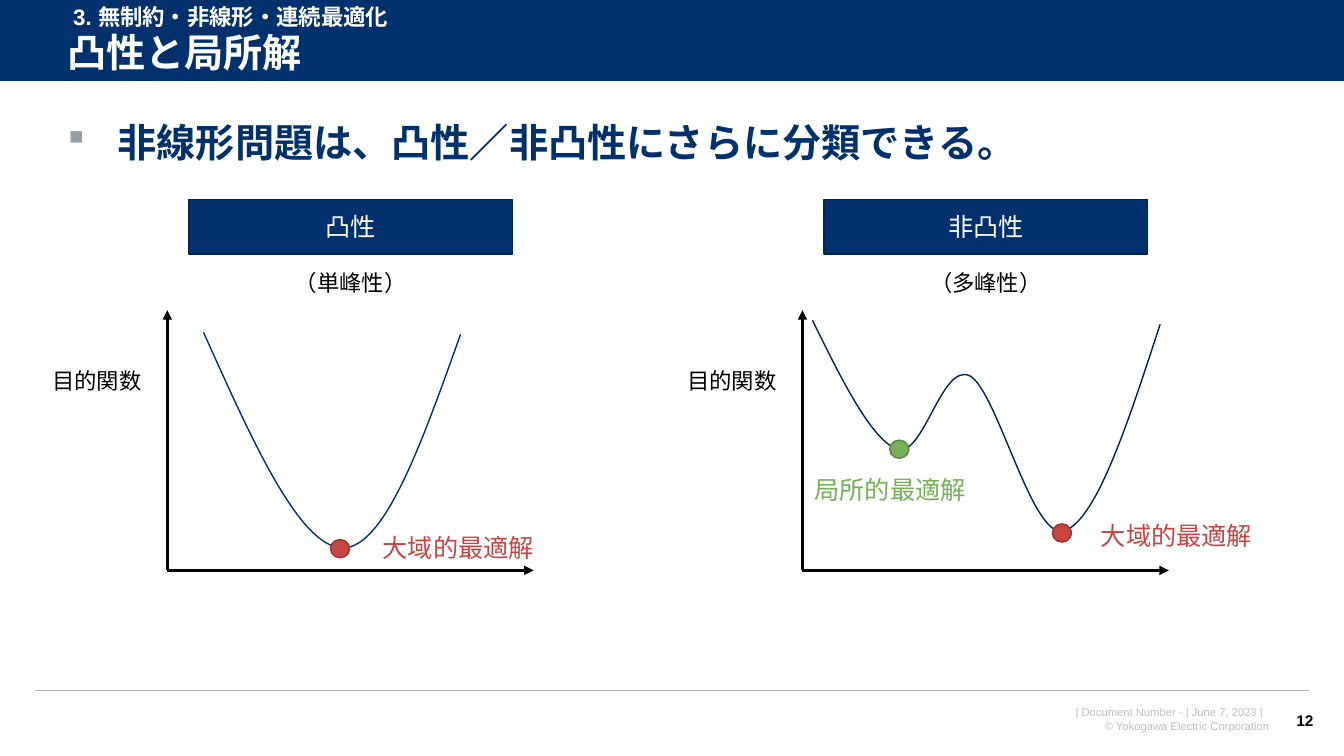
import pptx
import pptx.util
import pptx.dml.color
import pptx.enum.lang
import pptx.enum.shapes
import pptx.enum.text
import pptx.oxml.ns
from lxml import etree

Pt = pptx.util.Pt
RGBColor = pptx.dml.color.RGBColor
qn = pptx.oxml.ns.qn
ALIGN = pptx.enum.text.PP_ALIGN
ANCHOR = pptx.enum.text.MSO_ANCHOR
SHAPE = pptx.enum.shapes.MSO_SHAPE
STRAIGHT = pptx.enum.shapes.MSO_CONNECTOR.STRAIGHT

NAVY = RGBColor(0x00, 0x31, 0x6C)
DARK_NAVY = RGBColor(0x00, 0x24, 0x50)
RED = RGBColor(0xC7, 0x46, 0x43)
DARK_RED = RGBColor(0x9A, 0x30, 0x2E)
GREEN = RGBColor(0x76, 0xB0, 0x59)
DARK_GREEN = RGBColor(0x58, 0x87, 0x40)
WHITE = RGBColor(0xFF, 0xFF, 0xFF)
BLACK = RGBColor(0x00, 0x00, 0x00)
RULE_GREY = RGBColor(0xB2, 0xB2, 0xB2)
FOOTER_GREY = RGBColor(0xBF, 0xBF, 0xBF)
BULLET_GREY = RGBColor(0x95, 0xA0, 0xA4)

WIDTH, HEIGHT = 960, 540


def write(frame, lines, size, color, align=ALIGN.LEFT, bold=False, anchor=ANCHOR.TOP):
    frame.word_wrap = True
    frame.vertical_anchor = anchor
    for number, line in enumerate(lines):
        paragraph = frame.add_paragraph() if number else frame.paragraphs[0]
        paragraph.text = line
        paragraph.alignment = align
        paragraph.font.name = "Arial"
        paragraph.font.size = Pt(size)
        paragraph.font.bold = bold
        paragraph.font.color.rgb = color


def add_text(slide, box, lines, size, color, **style):
    frame = slide.shapes.add_textbox(*map(Pt, box)).text_frame
    write(frame, lines, size, color, **style)
    return frame


def add_filled(slide, kind, box, fill, outline=None):
    shape = slide.shapes.add_shape(kind, *map(Pt, box))
    shape.shadow.inherit = False
    shape.fill.solid()
    shape.fill.fore_color.rgb = fill
    if outline is None:
        shape.line.fill.background()
    else:
        shape.line.color.rgb = outline
        shape.line.width = Pt(1)
    return shape


def add_line(slide, start, end, color, width, arrow=False):
    connector = slide.shapes.add_connector(STRAIGHT, *map(Pt, (*start, *end)))
    connector.line.color.rgb = color
    connector.line.width = Pt(width)
    properties = connector._element.spPr
    if arrow:
        etree.SubElement(properties.find(qn("a:ln")), qn("a:tailEnd"), type="triangle")
    etree.SubElement(properties, qn("a:effectLst"))


def add_curve(slide, left, top, knots, color):
    """Draw a chain of cubic segments; every third knot lies on the curve."""
    points = [(Pt(left + x), Pt(top + y)) for x, y in knots]
    builder = slide.shapes.build_freeform(*points[0])
    builder.add_line_segments(points[1:], close=False)
    curve = builder.convert_to_shape()
    outline = next(curve._element.iter(qn("a:path")))
    straight = outline.findall(qn("a:lnTo"))
    for first in range(0, len(straight), 3):
        cubic = etree.SubElement(outline, qn("a:cubicBezTo"))
        for segment in straight[first:first + 3]:
            cubic.append(segment[0])
            outline.remove(segment)
    heights = [y for _, y in points[::3]]
    curve.height = max(heights) - min(heights)
    outline.set("h", str(curve.height))
    curve.shadow.inherit = False
    curve.fill.background()
    curve.line.color.rgb = color
    curve.line.width = Pt(1)


def add_header(slide, left, top, width, height):
    add_filled(slide, SHAPE.RECTANGLE, (left, top, width, height), NAVY)
    add_line(slide, (left, top + height), (left + width, top + height), WHITE, 0.75)
    title = add_text(slide, (left + 41, top + 18.7, 898, 41), ["凸性と局所解"], 28, WHITE,
                     bold=True, anchor=ANCHOR.MIDDLE)
    title.paragraphs[0].line_spacing = 0.9
    chapter = add_text(slide, (left + 45.2, top - 1.4, 283, 26.6),
                       ["3. 無制約・非線形・連続最適化"], 16, WHITE, bold=True)
    chapter_font = chapter.paragraphs[0].runs[0].font
    chapter_font.language_id = pptx.enum.lang.MSO_LANGUAGE_ID.JAPANESE
    etree.SubElement(chapter_font._element, qn("a:ea"), typeface="Arial")


def add_footer(slide, left, top, width):
    add_line(slide, (left, top), (left + width, top), RULE_GREY, 1)
    add_text(slide, (left + 657.7, top + 7.2, 231.2, 26.6),
             ["| Document Number - | June 7, 2023 |  ", "© Yokogawa Electric Corporation"],
             8, FOOTER_GREY, align=ALIGN.RIGHT)
    add_text(slide, (left + 888.6, top + 7.2, 31.7, 28.8), ["12"], 11, BLACK,
             align=ALIGN.RIGHT, bold=True, anchor=ANCHOR.MIDDLE)


def add_lead(slide, box):
    frame = slide.shapes.add_textbox(*map(Pt, box)).text_frame
    paragraph = frame.paragraphs[0]
    paragraph.line_spacing = 0.9
    properties = paragraph._p.get_or_add_pPr()
    properties.set("marL", str(Pt(36)))
    properties.set("indent", str(-Pt(36)))
    bullet_color = etree.SubElement(properties, qn("a:buClr"))
    etree.SubElement(bullet_color, qn("a:srgbClr"), val=str(BULLET_GREY))
    etree.SubElement(properties, qn("a:buFont"), typeface="Wingdings", charset="2")
    etree.SubElement(properties, qn("a:buChar"), char="§")
    write(frame, ["非線形問題は、凸性／非凸性にさらに分類できる。"], 28, NAVY, bold=True)


def add_panel(slide, left, top, heading, modality, knots, curve_color, optima):
    """Place a heading, axes, curve and marked optima relative to the panel corner."""
    add_curve(slide, left, top, knots, curve_color)
    badge = add_filled(slide, SHAPE.RECTANGLE, (left + 111, top, 231, 39), NAVY, DARK_NAVY)
    write(badge.text_frame, [heading], 18, WHITE, align=ALIGN.CENTER, anchor=ANCHOR.MIDDLE)
    add_text(slide, (left + 144.5, top + 46, 164, 26.6), [modality], 16, BLACK,
             align=ALIGN.CENTER)
    add_text(slide, (left - 0.5, top + 116, 91.4, 26.6), ["目的関数"], 16, BLACK,
             align=ALIGN.CENTER)
    axis_origin = (left + 95.5, top + 265)
    for axis_end in ((left + 95.5, top + 79.2), (left + 357.2, top + 265)):
        add_line(slide, axis_origin, axis_end, BLACK, 2.25, arrow=True)
    for name, fill, outline, (dot_x, dot_y), (name_x, name_y) in optima:
        add_filled(slide, SHAPE.OVAL, (left + dot_x, top + dot_y, 13.7, 13), fill, outline)
        add_text(slide, (left + name_x, top + name_y, 135.4, 28.8), [name], 18, fill,
                 align=ALIGN.CENTER)


CONVEX_KNOTS = [(121.4, 95), (156, 172), (189.8, 248.4), (220.8, 249), (251, 249),
                (277.7, 172.8), (305, 96.4)]
NONCONVEX_KNOTS = [(102.6, 86.4), (123.5, 128.8), (144.4, 171.3), (163.1, 178.5),
                   (181.8, 185), (194.8, 116.6), (214.9, 126), (234.4, 136),
                   (259.6, 243.3), (281.9, 236.8), (304.9, 231.1), (328, 159.8),
                   (351, 89.2)]


def main():
    presentation = pptx.Presentation()
    presentation.slide_width, presentation.slide_height = Pt(WIDTH), Pt(HEIGHT)
    slide = presentation.slides.add_slide(presentation.slide_layouts[6])
    add_header(slide, 0, 0, WIDTH, 58)
    add_footer(slide, 25, 493.2, 910)
    add_lead(slide, (41, 84.8, 892, 38))
    add_panel(slide, 24, 142.4, "凸性", "（単峰性）", CONVEX_KNOTS, NAVY,
              [("大域的最適解", RED, DARK_RED, (212, 243), (235.6, 234.5))])
    add_panel(slide, 477.7, 142.4, "非凸性", "（多峰性）", NONCONVEX_KNOTS, DARK_NAVY,
              [("大域的最適解", RED, DARK_RED, (274, 231.8), (294.9, 226)),
               ("局所的最適解", GREEN, DARK_GREEN, (157.8, 172), (90.4, 193))])
    presentation.save("out.pptx")


if __name__ == "__main__":
    main()
